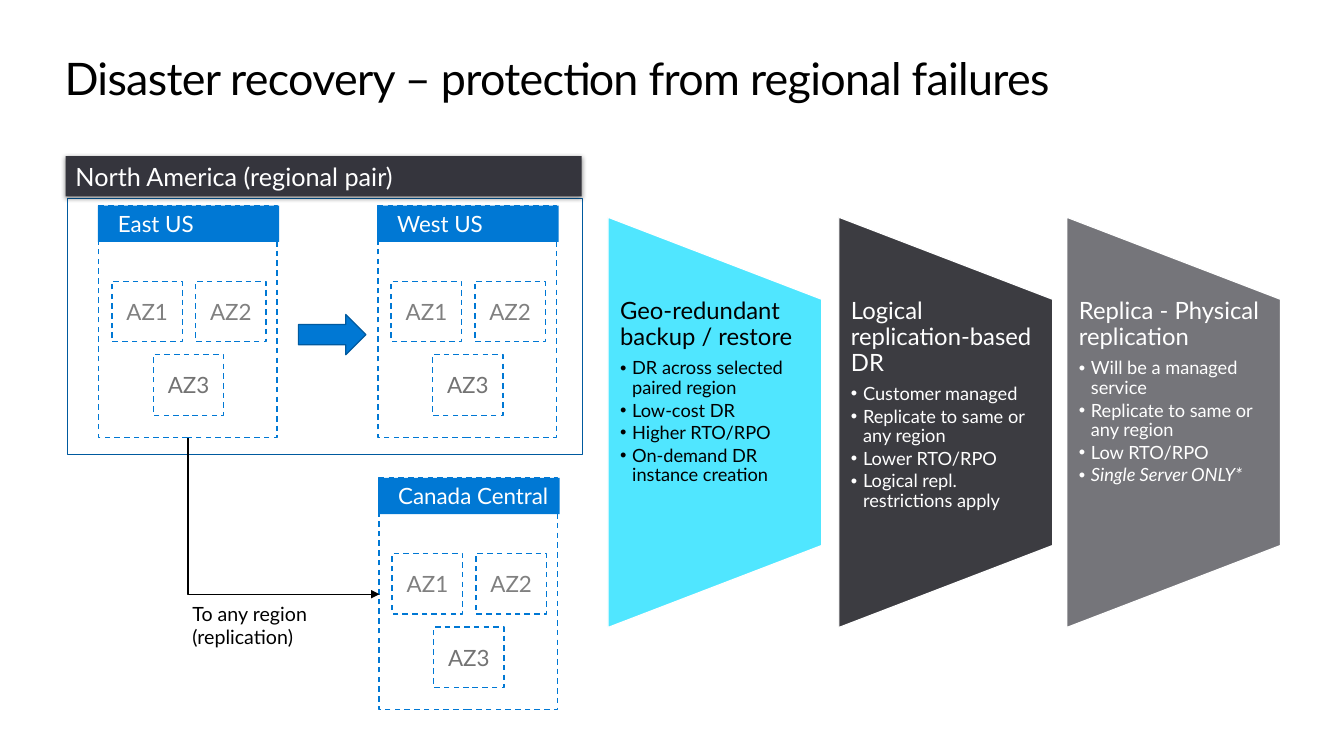
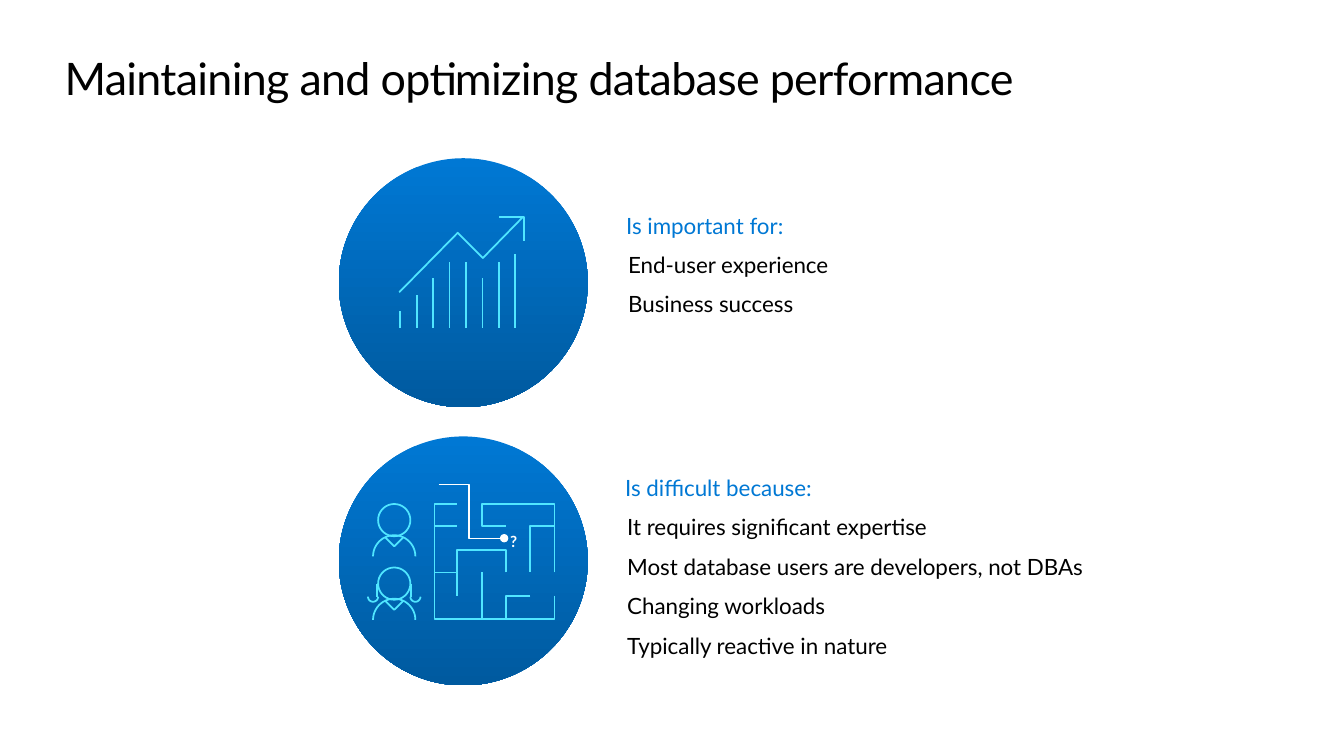
"""Build two slides on database disaster recovery and performance."""
from math import cos, radians, sin

from lxml.etree import SubElement
from pptx import Presentation
from pptx.dml.color import RGBColor
from pptx.enum.dml import MSO_LINE
from pptx.enum.shapes import MSO_CONNECTOR, MSO_SHAPE
from pptx.enum.text import MSO_ANCHOR as Anchor, PP_ALIGN as Align
from pptx.oxml.ns import qn
from pptx.util import Inches, Pt

FONT = "Lato"
COLORS = {
    "black": "000000",
    "white": "FFFFFF",
    "blue": "0078D4",
    "deep_blue": "005A9F",
    "cyan": "50E6FF",
    "header": "35353D",
    "charcoal": "3C3C41",
    "gray": "75757A",
    "zone": "808080",
    "last_zone": "737373",
}
STRATEGIES = [
    (6.03, "cyan", "black", "Geo-redundant backup / restore",
     ["DR across selected paired region", "Low-cost DR", "Higher RTO/RPO",
      "On-demand DR instance creation"]),
    (8.32, "charcoal", "white", "Logical replication-based DR",
     ["Customer managed", "Replicate to same or any region", "Lower RTO/RPO",
      "Logical repl. restrictions apply"]),
    (10.58, "gray", "white", "Replica - Physical replication",
     ["Will be a managed service", "Replicate to same or any region", "Low RTO/RPO",
      "Single Server ONLY*"]),
]
MAZE_WALLS = [
    [(5.5, 5.91), (5.5, 6.14), (4.31, 6.14), (4.31, 5), (4.53, 5)],
    [(5.5, 5.68), (5.5, 5), (4.78, 5), (4.78, 5.22), (5.02, 5.22)],
    [(5.5, 5.22), (5.26, 5.22), (5.26, 5.68)],
    [(5.26, 5.91), (5.02, 5.91), (5.02, 6.14)],
    [(4.78, 5.68), (4.78, 6.14)],
    [(5.02, 5.68), (5.02, 5.46), (4.53, 5.46), (4.53, 5.91)],
    [(4.53, 5.68), (4.31, 5.68)],
    [(4.53, 5.22), (4.31, 5.22)],
]


def color(name):
    """Return the named colour."""
    return RGBColor.from_string(COLORS[name])


def set_line(line, name, width, dash=None):
    """Give a line its colour, width and dash."""
    line.color.rgb = color(name)
    line.width = Pt(width)
    if dash:
        line.dash_style = dash


def add_tail(shape, kind):
    """Put an end mark on the last point of a line."""
    SubElement(shape._element.spPr.find(qn("a:ln")), qn("a:tailEnd"), type=kind)


def add_shape(slide, preset, box, fill=None, line=None, width=1, dash=None):
    """Add a preset shape without a shadow."""
    shape = slide.shapes.add_shape(preset, *map(Inches, box))
    shape.shadow.inherit = False
    if fill:
        shape.fill.solid()
        shape.fill.fore_color.rgb = color(fill)
    else:
        shape.fill.background()
    if line:
        set_line(shape.line, line, width, dash)
    else:
        shape.line.fill.background()
    return shape


def set_frame(shape, insets=(0, 0, 0, 0), wrap=True, anchor=Anchor.TOP):
    """Set the insets, wrapping and anchor of a text frame."""
    frame = shape.text_frame
    frame.margin_left, frame.margin_top, frame.margin_right, frame.margin_bottom = map(
        Inches, insets)
    frame.word_wrap = wrap
    frame.vertical_anchor = anchor
    return frame


def add_textbox(slide, box, insets=(0, 0, 0, 0), wrap=True):
    """Add a text box and return its frame."""
    return set_frame(slide.shapes.add_textbox(*map(Inches, box)), insets, wrap)


def add_paragraph(frame, text, size, name, align=Align.LEFT, after=0, spacing=None,
                  indent=0, bullet=False):
    """Write one paragraph and return its run."""
    first = frame.paragraphs[0]
    paragraph = frame.add_paragraph() if first.runs else first
    properties = paragraph._p.get_or_add_pPr()
    if indent:
        properties.set("marL", str(Inches(indent)))
    if bullet:
        properties.set("indent", str(-Inches(indent)))
        SubElement(properties, qn("a:buFont"), typeface="Arial")
        SubElement(properties, qn("a:buChar"), char="•")
    paragraph.alignment = align
    paragraph.space_after = Pt(after)
    if spacing:
        paragraph.line_spacing = spacing
    run = paragraph.add_run()
    run.text = text
    run.font.name = FONT
    run.font.size = Pt(size)
    run.font.color.rgb = color(name)
    return run


def add_slide(presentation, title):
    """Add a blank slide with the shared title style."""
    slide = presentation.slides.add_slide(presentation.slide_layouts[6])
    frame = add_textbox(slide, (0.64, 0.5, 12.05, 0.6))
    run = add_paragraph(frame, title, 32, "black")
    run._r.get_or_add_rPr().set("spc", "-50")
    return slide


def add_region(slide, left, top, name):
    """Add a region panel with three availability zones."""
    add_shape(slide, MSO_SHAPE.RECTANGLE, (left + 0.01, top, 1.77, 2.3),
              "white", "blue", dash=MSO_LINE.DASH)
    header = add_shape(slide, MSO_SHAPE.RECTANGLE, (left, top, 1.8, 0.36), "blue")
    frame = set_frame(header, (0.2, 0, 0.2, 0), False, Anchor.MIDDLE)
    add_paragraph(frame, name, 16, "white")
    zones = [("AZ1", 0.14, 0.75, "zone"), ("AZ2", 0.97, 0.75, "zone"),
             ("AZ3", 0.55, 1.48, "last_zone")]
    for label, across, down, tone in zones:
        zone = add_shape(slide, MSO_SHAPE.RECTANGLE, (left + across, top + down, 0.7, 0.6),
                         line="blue", dash=MSO_LINE.DASH)
        frame = set_frame(zone, (0.1, 0.05, 0.1, 0.05), anchor=Anchor.MIDDLE)
        add_paragraph(frame, label, 16, tone, Align.CENTER)


def add_pair_header(slide):
    """Add the shadowed bar that names the regional pair."""
    header = add_shape(slide, MSO_SHAPE.RECTANGLE, (0.65, 1.55, 5.12, 0.4), "header")
    effects = header._element.spPr.find(qn("a:effectLst"))
    shadow = SubElement(effects, qn("a:outerShdw"), blurRad=str(Pt(3.5)),
                        dist=str(Pt(1.1)), dir="5400000", algn="t", rotWithShape="0")
    tone = SubElement(shadow, qn("a:srgbClr"), val=COLORS["black"])
    SubElement(tone, qn("a:alpha"), val="45000")
    frame = set_frame(header, (0.1, 0.05, 0.1, 0.05))
    add_paragraph(frame, "North America (regional pair)", 18, "white")


def add_replication_arrow(slide):
    """Add the elbow arrow that runs down and then right."""
    connector = slide.shapes.add_connector(
        MSO_CONNECTOR.ELBOW, *map(Inches, (3.59, 4.17, 2.04, 6.07)))
    properties = connector._element.spPr
    properties.find(qn("a:xfrm")).set("rot", "16200000")
    properties.find(qn("a:prstGeom")).set("prst", "bentConnector2")
    set_line(connector.line, "black", 1)
    add_tail(connector, "triangle")
    SubElement(properties, qn("a:effectLst"))


def add_strategy(slide, left, fill, text_color, heading, points):
    """Add a tapered panel with a heading and bullets."""
    width, height, middle = 2.12, 4.07, 4.19
    panel = add_shape(slide, MSO_SHAPE.FLOWCHART_MANUAL_OPERATION,
                      (left + (width - height) / 2, middle - width / 2, height, width),
                      fill, "white", 0.85)
    panel.rotation = 270
    frame = add_textbox(slide, (left, 2.97, width, 2.44), (0.12, 0, 0.12, 0))
    add_paragraph(frame, heading, 17, text_color, after=6, spacing=0.9)
    for point in points:
        run = add_paragraph(frame, point, 13, text_color, after=2, spacing=0.9,
                            indent=0.12, bullet=True)
        if point.endswith("*"):
            run.font.italic = True


def add_disc(slide, top):
    """Add a gradient disc."""
    disc = add_shape(slide, MSO_SHAPE.OVAL, (3.36, top, 2.47, 2.47))
    disc.fill.gradient()
    disc.fill.gradient_angle = 270
    for stop, position, name in zip(disc.fill.gradient_stops, (0, 1), ("blue", "deep_blue")):
        stop.position = position
        stop.color.rgb = color(name)


def add_reasons(slide, box, heading, reasons):
    """Add a coloured heading with lines below it."""
    frame = add_textbox(slide, box)
    add_paragraph(frame, heading, 16, "blue", after=9)
    for reason in reasons:
        add_paragraph(frame, reason, 16, "black", after=9, indent=0.02)


def add_strokes(slide, strokes, name="cyan", width=1.25):
    """Draw open strokes as one outline."""
    strokes = [[(Inches(x), Inches(y)) for x, y in stroke] for stroke in strokes]
    builder = slide.shapes.build_freeform(*strokes[0][0])
    for index, stroke in enumerate(strokes):
        if index:
            builder.move_to(*stroke[0])
        builder.add_line_segments(stroke[1:], close=False)
    shape = builder.convert_to_shape()
    shape.shadow.inherit = False
    shape.fill.background()
    set_line(shape.line, name, width)
    return shape


def arc(x, y, radius, start, end):
    """Return points along an arc, with angles in clockwise degrees."""
    steps = 36
    angles = [radians(start + (end - start) * step / steps) for step in range(steps + 1)]
    return [(x + radius * cos(angle), y + radius * sin(angle)) for angle in angles]


def add_person(slide, top, long_hair=False):
    """Draw a person's outline."""
    x = 3.91
    strokes = [
        arc(x, top + 0.16, 0.16, 0, 360),
        arc(x, top + 0.52, 0.21, 180, 360),
        [(x - 0.09, top + 0.33), (x, top + 0.42), (x + 0.09, top + 0.33)],
    ]
    if long_hair:
        for side in (-1, 1):
            strokes.append([(x + side * 0.17, top + 0.16), (x + side * 0.17, top + 0.29)])
            strokes.append(arc(x + side * 0.21, top + 0.29, 0.05, 0, 180))
    add_strokes(slide, strokes)


def add_growth_chart(slide):
    """Draw the bars and the rising arrow."""
    tops = [3.09, 2.93, 2.76, 2.6, 2.6, 2.76, 2.6, 2.52]
    bars = [[(3.97 + 0.163 * index, 3.25), (3.97 + 0.163 * index, top)]
            for index, top in enumerate(tops)]
    trend = [(5.19, 2.15), (4.79, 2.56), (4.54, 2.31), (3.96, 2.9)]
    arrowhead = [(5.2, 2.39), (5.2, 2.15), (4.95, 2.15)]
    add_strokes(slide, bars + [trend, arrowhead])


def add_maze(slide):
    """Draw the maze, its visitors and the unfinished route."""
    add_strokes(slide, MAZE_WALLS)
    add_person(slide, 5.63, long_hair=True)
    add_person(slide, 5)
    frame = add_textbox(slide, (5.06, 5.28, 0.06, 0.15), wrap=False)
    add_paragraph(frame, "?", 11, "white").font.bold = True
    route = add_strokes(slide, [[(4.35, 4.81), (4.65, 4.81), (4.65, 5.34), (5, 5.34)]],
                        "white", 1)
    add_tail(route, "oval")


def build_recovery(presentation):
    """Build the disaster recovery slide."""
    slide = add_slide(presentation, "Disaster recovery – protection from regional failures")
    for left, top, name in [(0.97, 2.04, "East US"), (3.74, 2.04, "West US"),
                            (3.75, 4.74, "Canada Central")]:
        add_region(slide, left, top, name)
    add_shape(slide, MSO_SHAPE.RECTANGLE, (0.67, 1.97, 5.11, 2.54), line="deep_blue", width=0.85)
    add_pair_header(slide)
    add_shape(slide, MSO_SHAPE.RIGHT_ARROW, (2.96, 3.12, 0.67, 0.4), "blue", "deep_blue", 0.85)
    add_replication_arrow(slide)
    frame = add_textbox(slide, (1.81, 5.92, 1.64, 0.57), (0.1, 0.05, 0.1, 0.05))
    add_paragraph(frame, "To any region (replication)", 14, "black")
    for strategy in STRATEGIES:
        add_strategy(slide, *strategy)


def build_performance(presentation):
    """Build the database performance slide."""
    slide = add_slide(presentation, "Maintaining and optimizing database performance")
    add_disc(slide, 1.57)
    add_reasons(slide, (6.21, 2.1, 3.48, 1.06), "Is important for:",
                ["End-user experience", "Business success"])
    add_growth_chart(slide)
    add_disc(slide, 4.33)
    add_reasons(slide, (6.2, 4.7, 4.95, 1.85), "Is difficult because:",
                ["It requires significant expertise",
                 "Most database users are developers, not DBAs",
                 "Changing workloads", "Typically reactive in nature"])
    add_maze(slide)


def main():
    """Build and save the presentation."""
    presentation = Presentation()
    presentation.slide_width, presentation.slide_height = Inches(13.33), Inches(7.5)
    build_recovery(presentation)
    build_performance(presentation)
    presentation.save("out.pptx")


if __name__ == "__main__":
    main()
